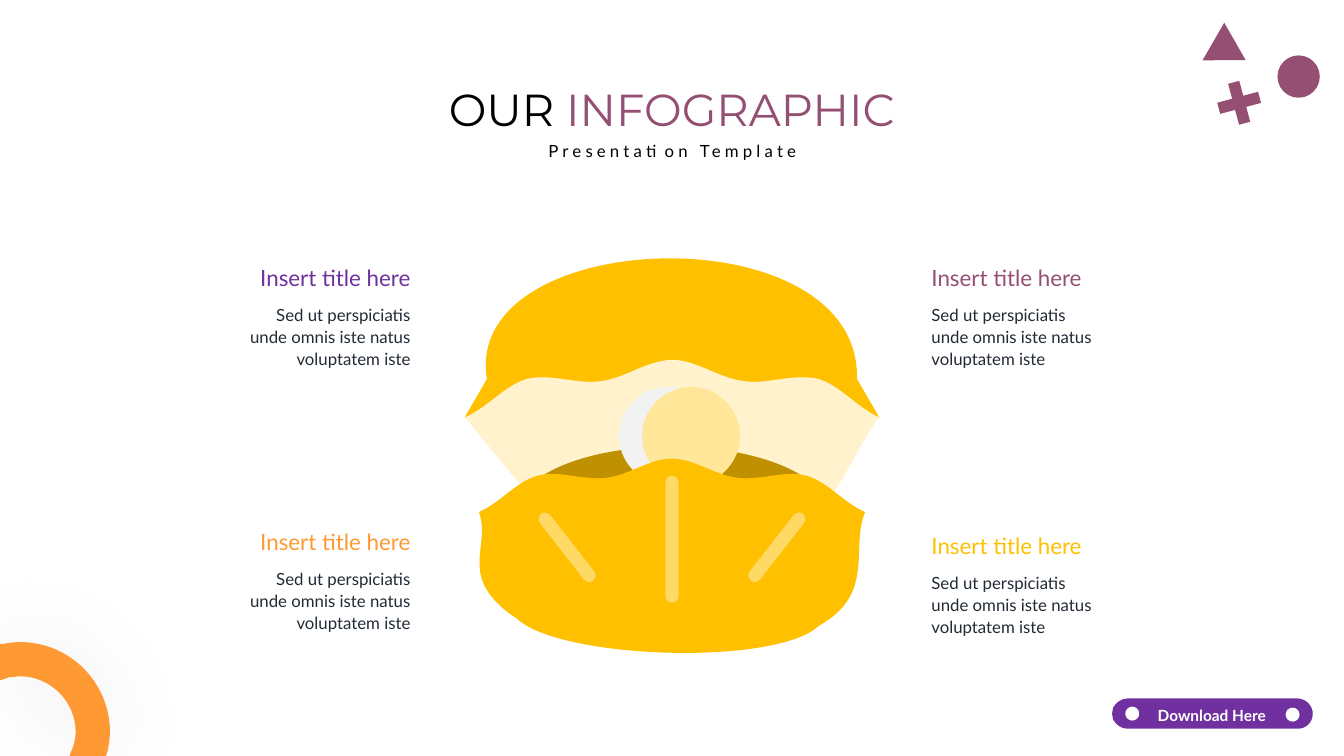
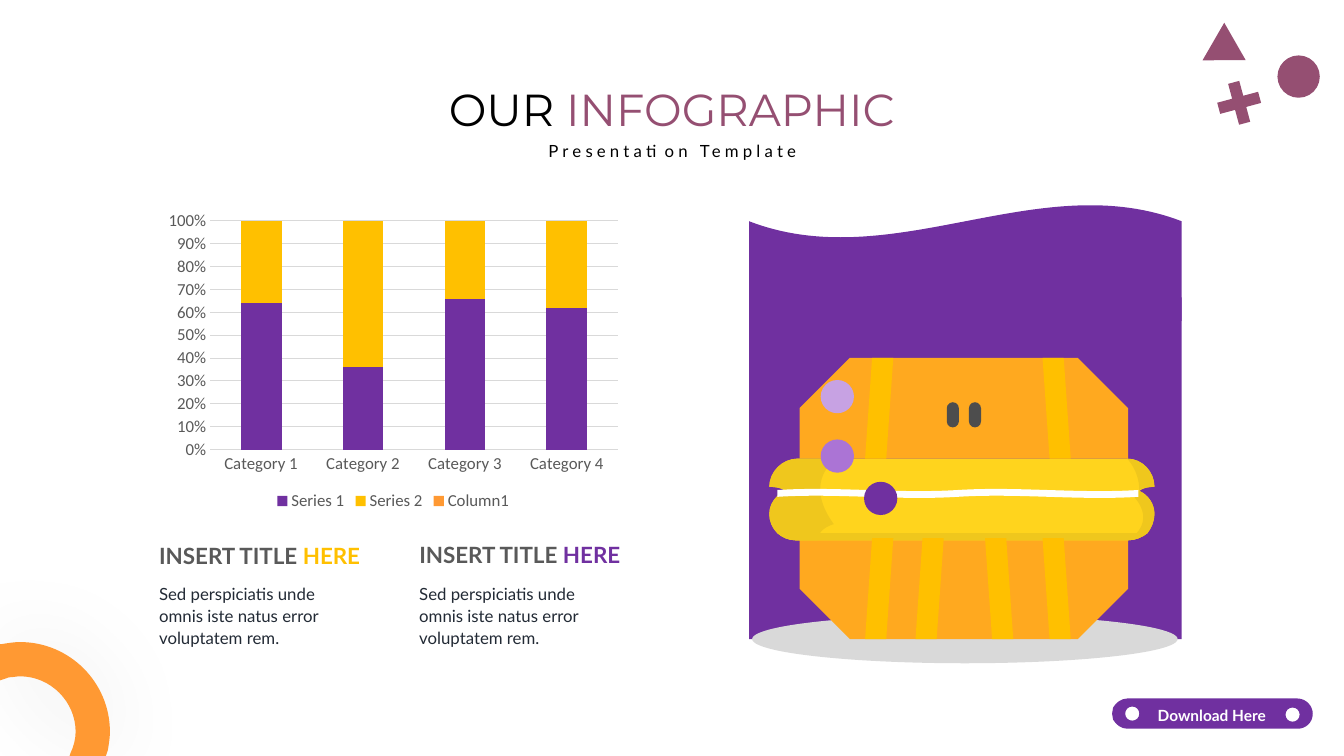
from lxml import etree
from pptx import Presentation
from pptx import util as u
from pptx.chart import data as chart_data
from pptx.dml.color import RGBColor
from pptx.enum import chart as ch, shapes, text
from pptx.oxml.ns import qn

PX = 9144
STEPS = 40

PURPLE = RGBColor(0x70, 0x30, 0xA0)
LILAC = RGBColor(0xAB, 0x74, 0xD5)
PALE_LILAC = RGBColor(0xC7, 0xA2, 0xE3)
PLUM = RGBColor(0x95, 0x4F, 0x72)
ORANGE = RGBColor(0xFF, 0x99, 0x33)
BUN = RGBColor(0xFF, 0xA9, 0x1F)
GOLD = RGBColor(0xFF, 0xC0, 0x00)
DARK_GOLD = RGBColor(0xBF, 0x90, 0x00)
LIGHT_GOLD = RGBColor(0xFF, 0xD9, 0x66)
PEARL = RGBColor(0xFF, 0xE6, 0x99)
CREAM = RGBColor(0xFF, 0xF2, 0xCC)
FILLING = RGBColor(0xFF, 0xD4, 0x1D)
FILLING_SHADE = RGBColor(0xEF, 0xC7, 0x1D)
BLACK = RGBColor(0, 0, 0)
WHITE = RGBColor(255, 255, 255)
NAVY = RGBColor(0x22, 0x2A, 0x35)
CHARCOAL = RGBColor(0x4D, 0x4D, 0x4D)
GREY = RGBColor(0x59, 0x59, 0x59)
SILVER = RGBColor(0xD9, 0xD9, 0xD9)
MIST = RGBColor(0xF2, 0xF2, 0xF2)

KIND = shapes.MSO_SHAPE
ALIGN = text.PP_ALIGN


def px(*lengths):
    return [u.Emu(round(length * PX)) for length in lengths]


def paint(shape, color):
    shape.fill.solid()
    shape.fill.fore_color.rgb = color
    shape.line.fill.background()
    shape.shadow.inherit = False
    return shape


def add_preset(slide, kind, box, color, adj=(), rotation=0, flip=None):
    shape = paint(slide.shapes.add_shape(kind, *px(*box)), color)
    for index, value in enumerate(adj):
        shape.adjustments[index] = value
    shape.rotation = rotation
    if flip:
        shape._element.spPr.find(qn("a:xfrm")).set(flip, "1")
    return shape


def corners(segment):
    return list(zip(segment[::2], segment[1::2]))


def trace(contour):
    here = contour[0]
    yield here
    for segment in contour[1:]:
        ends = corners(segment)
        if len(ends) == 3:
            for step in range(1, STEPS):
                t = step / STEPS
                weights = ((1 - t) ** 3, 3 * t * (1 - t) ** 2, 3 * t * t * (1 - t), t ** 3)
                yield tuple(sum(w * c[axis] for w, c in zip(weights, [here, *ends]))
                            for axis in (0, 1))
        here = ends[-1]
        yield here


def add_outline(slide, color, *contours):
    xs, ys = zip(*(point for contour in contours for point in trace(contour)))
    left, top, right, bottom = px(min(xs), min(ys), max(xs), max(ys))
    builder = slide.shapes.build_freeform(left, top)
    builder.add_line_segments([(right, top), (right, bottom), (left, bottom)])
    shape = builder.convert_to_shape()
    pen = next(shape._element.spPr.iter(qn("a:path")))
    for frame_step in list(pen):
        pen.remove(frame_step)
    for contour in contours:
        for index, segment in enumerate(contour):
            ends = corners(segment)
            kind = "a:moveTo" if index == 0 else "a:lnTo" if len(ends) == 1 else "a:cubicBezTo"
            stroke = etree.SubElement(pen, qn(kind))
            for end in ends:
                x, y = px(*end)
                etree.SubElement(stroke, qn("a:pt"), x=str(x - left), y=str(y - top))
        etree.SubElement(pen, qn("a:close"))
    return paint(shape, color)


def write(shape, *runs, size=12, font="Lato", bold=False, align=ALIGN.LEFT,
          spacing=1.0, tracking=0, wrap=True):
    frame = shape.text_frame
    frame.auto_size = text.MSO_AUTO_SIZE.NONE
    frame.word_wrap = wrap
    frame.vertical_anchor = text.MSO_ANCHOR.TOP
    paragraph = frame.paragraphs[0]
    paragraph.alignment = align
    paragraph.line_spacing = spacing
    for words, color in runs:
        run = paragraph.add_run()
        run.text = words
        run.font.size = u.Pt(size)
        run.font.name = font
        run.font.bold = bold
        run.font.color.rgb = color
        if tracking:
            run._r.get_or_add_rPr().set("spc", str(tracking * 100))


def add_text(slide, box, *runs, **format):
    write(slide.shapes.add_textbox(*px(*box)), *runs, **format)


def add_soft_shadow(shape):
    effects = shape._element.spPr.find(qn("a:effectLst"))
    shadow = etree.SubElement(effects, qn("a:outerShdw"), blurRad=str(u.Pt(65)),
                              dist="0", algn="ctr", rotWithShape="0")
    black = etree.SubElement(shadow, qn("a:srgbClr"), val="000000")
    etree.SubElement(black, qn("a:alpha"), val="7000")


def button_hole(x, y):
    return [(x, y - 7), (x - 4, y - 7, x - 7, y - 4, x - 7, y),
            (x - 7, y + 4, x - 4, y + 7, x, y + 7), (x + 4, y + 7, x + 7, y + 4, x + 7, y),
            (x + 7, y - 4, x + 4, y - 7, x, y - 7)]


def add_decor(slide):
    add_preset(slide, KIND.OVAL, (1267, 55, 42, 42), PLUM, rotation=255, flip="flipV")
    add_preset(slide, KIND.ISOSCELES_TRIANGLE, (1198, 32, 43, 37), PLUM, rotation=300,
               flip="flipV")
    add_preset(slide, KIND.CROSS, (1208, 81, 42, 42), PLUM, adj=[0.364], rotation=255,
               flip="flipV")
    ring = add_outline(slide, ORANGE, [
        (20, 637), (69, 637, 109, 677, 109, 726),
        (109, 732, 108, 738, 107, 744), (105, 750), (69, 750), (70, 747),
        (73, 741, 75, 733, 75, 726), (75, 696, 50, 671, 20, 671),
        (16, 671, 13, 672, 9, 672), (0, 675), (0, 639), (2, 639),
        (8, 638, 14, 637, 20, 637)])
    add_soft_shadow(ring)
    pill = [(1118, 693), (1287, 693), (1295, 693, 1302, 700, 1302, 708),
            (1302, 717, 1295, 723, 1287, 723), (1118, 723),
            (1112, 723, 1107, 719, 1104, 714), (1103, 708), (1104, 702),
            (1107, 697, 1112, 693, 1118, 693)]
    add_outline(slide, PURPLE, button_hole(1282, 709), button_hole(1123, 708), pill)
    add_text(slide, (1130, 692, 144, 30), ("Download Here", WHITE), size=11, bold=True,
             align=ALIGN.CENTER, spacing=1.2)


def new_slide(deck):
    slide = deck.slides.add_slide(deck.slide_layouts[5])
    title = slide.shapes.title
    title.left, title.top, title.width, title.height = px(378, 76, 577, 64)
    write(title, ("OUR ", BLACK), ("INFOGRAPHIC", PLUM), size=32, font="Montserrat",
          align=ALIGN.CENTER)
    return slide


def finish_slide(slide):
    add_text(slide, (503, 131, 328, 32), ("Presentation Template", BLACK),
             align=ALIGN.CENTER, spacing=1.2, tracking=3)
    add_decor(slide)


def add_shell(slide):
    add_outline(slide, GOLD, [
        (872, 414), (850, 376), (854, 210, 458, 223, 483, 376), (461, 414)])
    add_outline(slide, CREAM, [
        (872, 414), (851, 405, 834, 383, 812, 376),
        (787, 370, 760, 382, 737, 378), (713, 375, 690, 357, 667, 357),
        (643, 357, 620, 375, 597, 378), (573, 382, 546, 370, 522, 376),
        (500, 383, 483, 405, 461, 414), (532, 500), (822, 495),
        (831, 487, 863, 422, 872, 414)])
    add_outline(slide, DARK_GOLD, [
        (812, 486), (787, 492, 760, 481, 737, 484), (713, 487, 690, 505, 667, 505),
        (643, 505, 620, 487, 597, 484), (573, 481, 546, 492, 522, 486),
        (542, 461, 599, 443, 667, 443), (734, 443, 791, 461, 812, 486)])
    for left, color in ((614, MIST), (637, PEARL)):
        add_preset(slide, KIND.OVAL, (left, 384, 97, 97), color, flip="flipV")
    add_outline(slide, GOLD, [
        (858, 508), (837, 499, 821, 478, 800, 472),
        (779, 466, 754, 477, 732, 474), (710, 472, 689, 455, 666, 455),
        (644, 455, 623, 472, 601, 474), (579, 477, 554, 466, 533, 472),
        (512, 478, 496, 499, 475, 508), (488, 543, 451, 573, 513, 614),
        (556, 654, 769, 661, 812, 621), (869, 589, 843, 545, 858, 508)])
    for left, top, length, angle in ((660, 472, 126, 0), (764, 501, 84, 38), (556, 501, 84, 322)):
        add_preset(slide, KIND.ROUNDED_RECTANGLE, (left, top, 13, length), LIGHT_GOLD,
                   adj=[0.5], rotation=angle)


def add_filling(slide):
    lower_left = [(776, 488, 773, 490, 771, 492), (766, 497, 763, 503, 763, 510)]
    add_outline(slide, FILLING, [
        (1130, 487), (1134, 484, 1139, 483, 1145, 483),
        (1145, 468, 1133, 455, 1118, 455), (791, 455), (776, 455, 763, 468, 763, 483),
        (770, 483, 775, 484, 780, 487), *lower_left, (763, 517, 766, 524, 771, 529),
        (776, 533, 782, 536, 789, 536), (1119, 536), (1126, 536, 1133, 533, 1138, 529),
        (1142, 524, 1145, 517, 1145, 510), (1145, 500, 1139, 491, 1130, 487)])
    shades = [
        [(827, 520), (827, 520, 811, 524, 811, 536), (789, 536),
         (775, 536, 763, 525, 763, 510), (763, 503, 766, 497, 771, 492),
         (773, 490, 776, 488, 779, 487), (775, 484, 770, 483, 763, 483),
         (763, 468, 776, 455, 791, 455), (830, 455), (830, 455, 795, 476, 827, 520)],
        [(1138, 529), (1133, 533, 1126, 536, 1119, 536), (789, 536),
         (782, 536, 776, 533, 771, 529)],
        [(1145, 510), (1145, 517, 1142, 524, 1138, 529), (1133, 533, 1126, 536, 1119, 536),
         (1119, 536, 1149, 519, 1124, 492), (1125, 490, 1127, 488, 1130, 487),
         (1139, 491, 1145, 500, 1145, 510)],
        [(1145, 483), (1139, 483, 1134, 484, 1130, 486), (1130, 467, 1118, 455, 1118, 455),
         (1133, 455, 1145, 468, 1145, 483)],
    ]
    for shade in shades:
        add_outline(slide, FILLING_SHADE, shade)


def add_burger(slide):
    add_preset(slide, KIND.RECTANGLE, (743, 295, 429, 339), PURPLE)
    add_preset(slide, KIND.OVAL, (746, 610, 422, 48), SILVER)
    for top, flip in ((355, None), (534, "flipV")):
        add_preset(slide, KIND.SNIP_2_SAME_RECTANGLE, (793, top, 326, 100), BUN,
                   adj=[0.5, 0], flip=flip)
    for left in (939, 961):
        add_preset(slide, KIND.ROUNDED_RECTANGLE, (left, 399, 12, 25), CHARCOAL, adj=[0.5])
    add_filling(slide)
    stripes = [(858, 534, None), (1034, 534, "flipH"), (977, 534, "flipH"),
               (908, 534, None), (1034, 355, "flipH"), (858, 355, None)]
    for left, top, flip in stripes:
        add_preset(slide, KIND.PARALLELOGRAM, (left, top, 28, 100), GOLD, flip=flip)
    add_preset(slide, KIND.DOUBLE_WAVE, (771, 485, 358, 9), WHITE, adj=[0.125, 0])
    for left, top, color in ((857, 478, PURPLE), (814, 436, LILAC), (814, 377, PALE_LILAC)):
        add_preset(slide, KIND.OVAL, (left, top, 33, 33), color)
    add_preset(slide, KIND.WAVE, (743, 203, 429, 132), PURPLE, flip="flipH")


def add_share_chart(slide):
    shares = chart_data.CategoryChartData()
    shares.categories = [f"Category {n}" for n in range(1, 5)]
    shares.add_series("Series 1", (64, 36, 66, 62))
    shares.add_series("Series 2", (36, 64, 34, 38))
    shares.add_series("Column1", (None,) * 4)
    chart = slide.shapes.add_chart(ch.XL_CHART_TYPE.COLUMN_STACKED_100,
                                   *px(158, 203, 464, 308), shares).chart
    chart.has_title = False
    chart.font.size = u.Pt(12)
    chart.font.name = "Calibri"
    chart.font.color.rgb = GREY
    chart.has_legend = True
    chart.legend.position = ch.XL_LEGEND_POSITION.BOTTOM
    chart.legend.include_in_layout = False
    plot = chart.plots[0]
    plot.gap_width = 150
    plot.overlap = 100
    plot.vary_by_categories = False
    for series, color in zip(plot.series, (PURPLE, GOLD, ORANGE)):
        series.format.fill.solid()
        series.format.fill.fore_color.rgb = color
    categories, percents = chart.category_axis, chart.value_axis
    for axis in (categories, percents):
        axis.major_tick_mark = axis.minor_tick_mark = ch.XL_TICK_MARK.NONE
    percents.has_major_gridlines = True
    for line in (categories.format.line, percents.major_gridlines.format.line):
        line.color.rgb = SILVER
        line.width = u.Pt(0.75)
    percents.format.line.fill.background()
    percents.tick_labels.number_format = "0%"
    percents.tick_labels.number_format_is_linked = False


def build_shell_slide(deck):
    slide = new_slide(deck)
    add_shell(slide)
    notes = [(247, 235, 182, 257, PURPLE, ALIGN.RIGHT), (247, 235, 182, 519, ORANGE, ALIGN.RIGHT),
             (914, 914, 190, 257, PLUM, ALIGN.LEFT), (914, 914, 190, 523, GOLD, ALIGN.LEFT)]
    for heading_left, body_left, body_width, top, color, align in notes:
        add_text(slide, (heading_left, top, 170, 37), ("Insert title here", color),
                 size=16, align=align, wrap=False)
        add_text(slide, (body_left, top + 38, body_width, 76),
                 ("Sed ut perspiciatis unde omnis iste natus voluptatem iste", NAVY),
                 align=align, spacing=1.1)
    finish_slide(slide)


def build_burger_slide(deck):
    slide = new_slide(deck)
    add_burger(slide)
    for left, top, color in ((148, 533, GOLD), (406, 532, PURPLE)):
        add_text(slide, (left, top, 222, 37), ("INSERT TITLE ", GREY), ("HERE", color),
                 size=16, bold=True, wrap=False)
        add_text(slide, (left, 572, 203, 76),
                 ("Sed perspiciatis unde omnis iste natus error voluptatem rem.", NAVY),
                 spacing=1.1)
    add_share_chart(slide)
    finish_slide(slide)


def main():
    deck = Presentation()
    deck.slide_width, deck.slide_height = px(1333, 750)
    build_shell_slide(deck)
    build_burger_slide(deck)
    deck.save("out.pptx")


if __name__ == "__main__":
    main()
